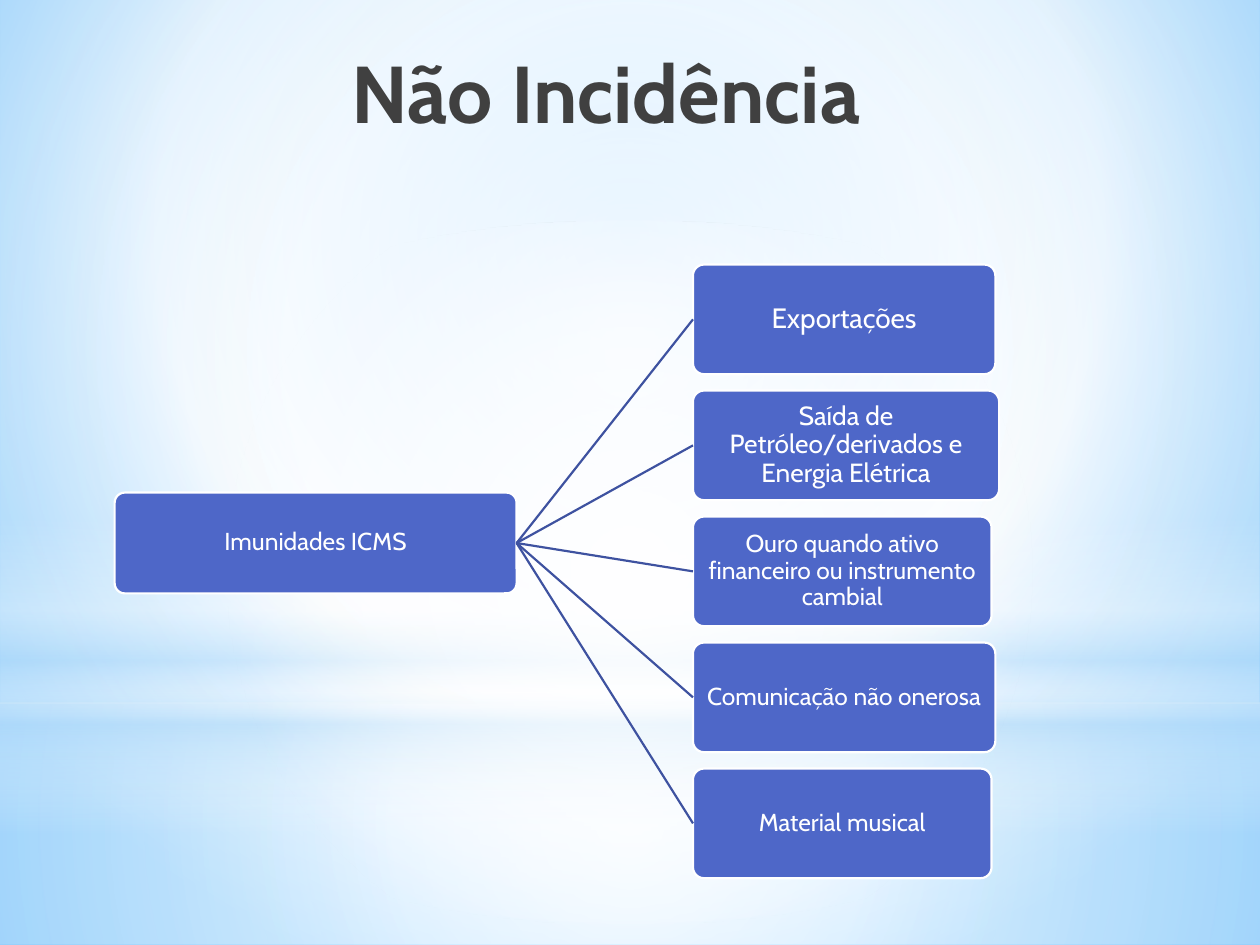
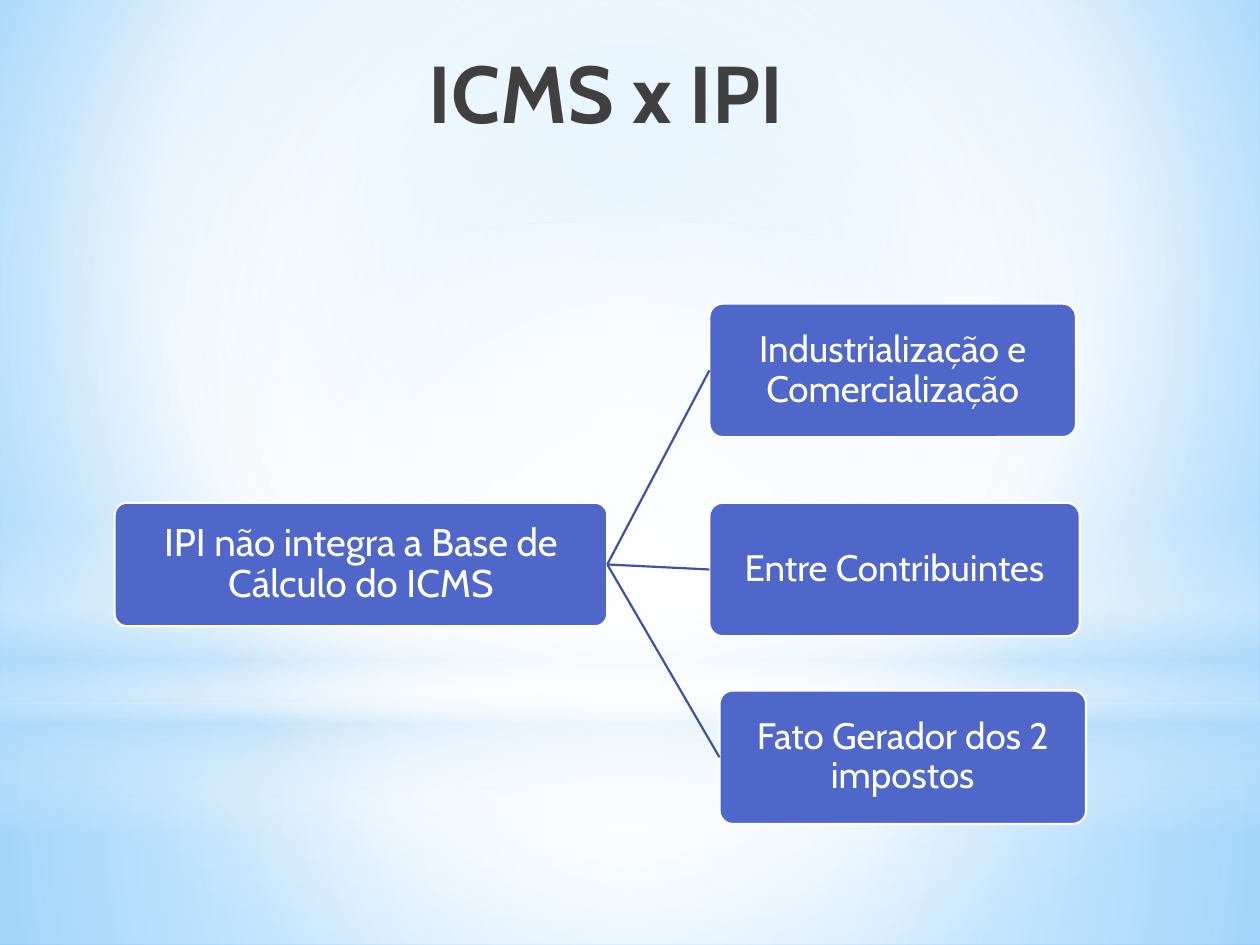
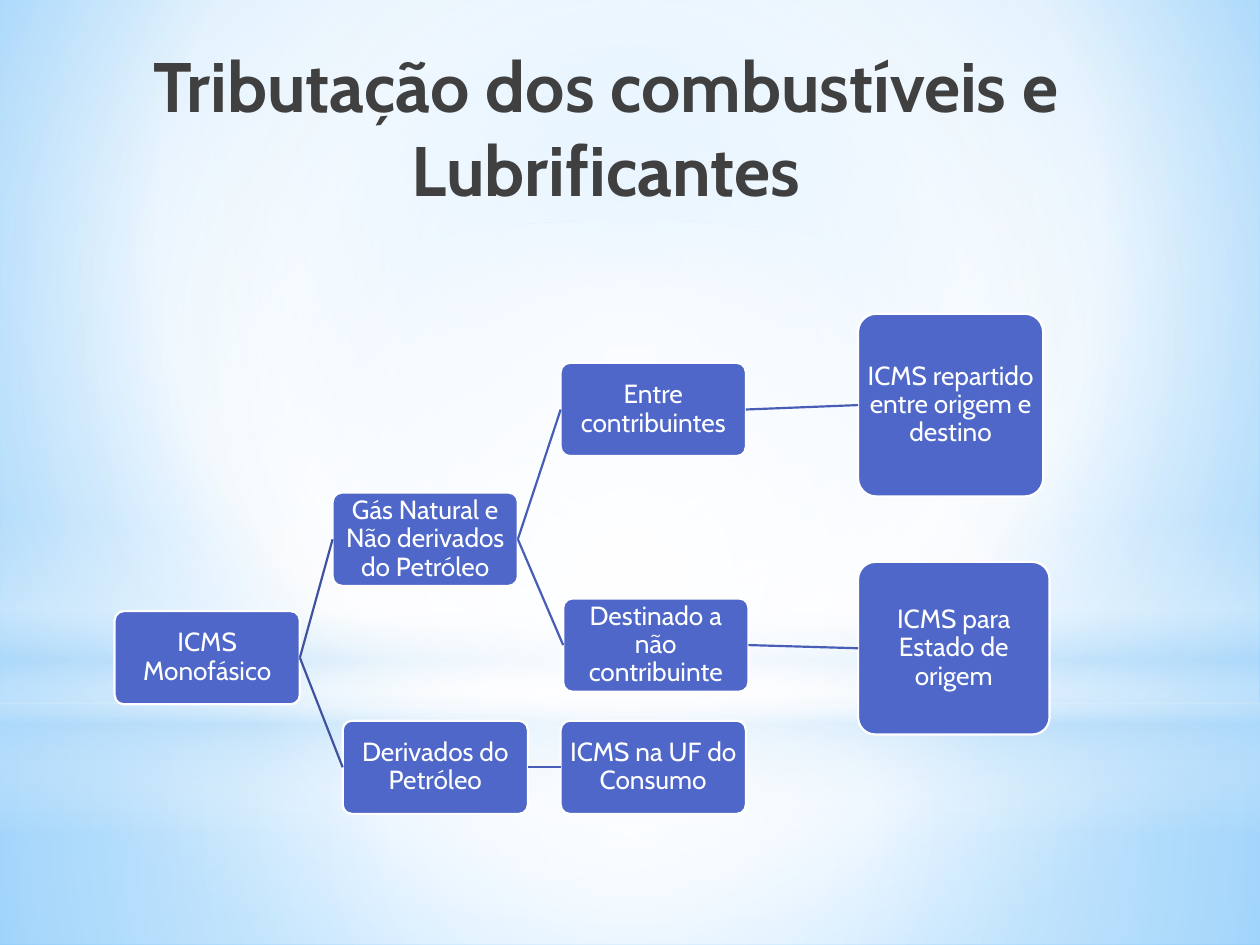
import pptx
import pptx.dml.color
import pptx.enum.shapes
import pptx.enum.text
import pptx.oxml
import pptx.oxml.ns
import pptx.util
from lxml import etree

# Shared look
WIDTH, HEIGHT = 10, 7.5
FONT = "Cabin"
BOX_FILL, BOX_TEXT, BOX_LINE = "4E67C8", "FFFFFF", "FFFFFF"
FIRST_LINK, DEEPER_LINK = "3E52A0", "475DB6"
LINE_WIDTH = 1.25
CENTRE = (50, 50, 50, 50)

# Gradient stops: position, colour, opacity (all but colour in percent)
TITLE_STOPS = [(0, "000000", 100), (40, "404040", 100), (100, "212745", 65)]
PAGE_STOPS = [(0, "9ED5FF", 100), (60, "FFFFFF", 100), (100, "5BB9FF", 100)]
PAGE_FOCUS = (20, 10, 20, 60)

# Backdrop bands: preset, top, height, gradient focus (None runs downwards), stops
BACKDROP = [
    ("RECTANGLE", 5.58, 1.92, CENTRE,
     [(0, "FFFFFF", 91), (37, "FFFFFF", 76), (100, "B4DCFA", 79)]),
    ("RECTANGLE", 0, 5.58, CENTRE,
     [(0, "FFFFFF", 89), (48, "FFFFFF", 62), (100, "B4DCFA", 79)]),
    ("RECTANGLE", 4.12, 2.5, None,
     [(0, "FFFFFF", 0), (29, "FFFFFF", 30), (45, "B4DCFA", 40),
      (55, "FFFFFF", 26), (65, "B4DCFA", 60), (100, "FFFFFF", 0)]),
    ("OVAL", 1.75, 5.58, CENTRE, [(0, "FFFFFF", 100), (56, "FFFFFF", 0)]),
]

# Slide 1: evenly stacked immunities (text, width, text size)
IMMUNITIES = [
    ("Exportações", 2.4, 16),
    ("Saída de Petróleo/derivados e Energia Elétrica", 2.43, 15),
    ("Ouro quando ativo financeiro ou instrumento cambial", 2.37, 14),
    ("Comunicação não onerosa", 2.4, 14),
    ("Material musical", 2.37, 14),
]
IMMUNITY_LEFT, IMMUNITY_TOP, IMMUNITY_STEP, IMMUNITY_HEIGHT = 5.5, 2.1, 1, 0.87

# Slide 3: usual box size
FUEL_BOX = (1.47, 0.74)

# Trees: text, position, size, text size, index of parent box
SLIDES = [
    {"title": "Não Incidência", "title_size": 46, "title_height": 1.25,
     "boxes": [("Imunidades ICMS", (0.91, 3.91), (3.19, 0.8), 14, None)] + [
         (text, (IMMUNITY_LEFT, IMMUNITY_TOP + row * IMMUNITY_STEP),
          (width, IMMUNITY_HEIGHT), size, 0)
         for row, (text, width, size) in enumerate(IMMUNITIES)]},
    {"title": "ICMS x IPI", "title_size": 46, "title_height": 1.25,
     "boxes": [
         ("IPI não integra a Base de Cálculo do ICMS", (0.91, 3.99), (3.91, 0.98), 22, None),
         ("Industrialização e Comercialização", (5.63, 2.41), (2.91, 1.06), 21, 0),
         ("Entre Contribuintes", (5.63, 3.99), (2.94, 1.06), 21, 0),
         ("Fato Gerador dos 2 impostos", (5.71, 5.48), (2.91, 1.06), 21, 0)]},
    {"title": "Tributação dos combustíveis e Lubrificantes",
     "title_size": 40, "title_height": 1.65,
     "boxes": [
         ("ICMS Monofásico", (0.91, 4.85), FUEL_BOX, 15, None),
         ("Gás Natural e Não derivados do Petróleo", (2.64, 3.91), FUEL_BOX, 15, 0),
         ("Entre contribuintes", (4.45, 2.88), FUEL_BOX, 15, 1),
         ("ICMS repartido entre origem e destino", (6.81, 2.49), (1.47, 1.45), 15, 2),
         ("Destinado a não contribuinte", (4.47, 4.75), FUEL_BOX, 15, 1),
         ("ICMS para Estado de origem", (6.81, 4.46), (1.52, 1.37), 15, 4),
         ("Derivados do Petróleo", (2.72, 5.72), FUEL_BOX, 15, 0),
         ("ICMS na UF do Consumo", (4.45, 5.72), FUEL_BOX, 15, 6)]},
]


def color(hex_value):
    return pptx.dml.color.RGBColor.from_string(hex_value)


def inches(*lengths):
    return [pptx.util.Inches(length) for length in lengths]


def paint_gradient(fill, element, stops, focus=None):
    """Give the fill held in element a gradient, round a focus or downwards."""
    fill.solid()
    stop_xml = "".join(
        f'<a:gs pos="{position * 1000}"><a:srgbClr val="{hex_value}">'
        f'<a:alpha val="{opacity * 1000}"/></a:srgbClr></a:gs>'
        for position, hex_value, opacity in stops)
    if focus:
        sides = " ".join(f'{side}="{share * 1000}"' for side, share in zip("ltrb", focus))
        direction = f'<a:path path="circle"><a:fillToRect {sides}/></a:path>'
    else:
        direction = '<a:lin ang="5400000" scaled="0"/>'
    gradient = pptx.oxml.parse_xml(
        f'<a:gradFill {pptx.oxml.ns.nsdecls("a")} rotWithShape="1">'
        f"<a:gsLst>{stop_xml}</a:gsLst>{direction}</a:gradFill>")
    solid = element.xpath(".//a:solidFill")[0]
    solid.getparent().replace(solid, gradient)


def add_backdrop(master, slide):
    """Draw the bands on a slide and move them to the master, which all slides share."""
    paint_gradient(master.background.fill, master.element, PAGE_STOPS, PAGE_FOCUS)
    for index, (preset, top, height, focus, stops) in enumerate(BACKDROP):
        shape = slide.shapes.add_shape(
            pptx.enum.shapes.MSO_SHAPE[preset], *inches(0, top, WIDTH, height))
        shape.shadow.inherit = False
        shape.line.fill.background()
        paint_gradient(shape.fill, shape.element, stops, focus)
        shape.element.xpath("./p:nvSpPr/p:cNvPr")[0].set("id", str(20 + index))
        master.shapes.element.insert(2 + index, shape.element)


def add_title(slide, text, size, height):
    frame = slide.shapes.add_textbox(*inches(0.91, 0.29, 7.8, height)).text_frame
    frame.word_wrap = True
    paragraph = frame.paragraphs[0]
    paragraph.alignment = pptx.enum.text.PP_ALIGN.CENTER
    paragraph.font.name = FONT
    paragraph.font.size = pptx.util.Pt(size)
    paragraph.font.bold = True
    run = paragraph.add_run()
    run.text = text
    paint_gradient(run.font.fill, paragraph.runs[0].font.fill and frame.paragraphs[0].runs[0]._r,
                   TITLE_STOPS)


def add_box(slide, text, position, extent, size):
    shape = slide.shapes.add_shape(
        pptx.enum.shapes.MSO_SHAPE.ROUNDED_RECTANGLE, *inches(*position, *extent))
    shape.adjustments[0] = 0.1
    shape.shadow.inherit = False
    shape.fill.solid()
    shape.fill.fore_color.rgb = color(BOX_FILL)
    shape.line.color.rgb = color(BOX_LINE)
    shape.line.width = pptx.util.Pt(LINE_WIDTH)
    frame = shape.text_frame
    frame.word_wrap = True
    frame.vertical_anchor = pptx.enum.text.MSO_ANCHOR.MIDDLE
    frame.margin_left = frame.margin_right = pptx.util.Inches(0.01)
    frame.margin_top = frame.margin_bottom = pptx.util.Inches(0.01)
    paragraph = frame.paragraphs[0]
    paragraph.text = text
    paragraph.alignment = pptx.enum.text.PP_ALIGN.CENTER
    paragraph.line_spacing = 0.9
    paragraph.font.name = FONT
    paragraph.font.size = pptx.util.Pt(size)
    paragraph.font.color.rgb = color(BOX_TEXT)
    return shape


def add_link(slide, parent, child, hex_value):
    """Join the right side of the parent to the left side of the child."""
    connector = slide.shapes.add_connector(
        pptx.enum.shapes.MSO_CONNECTOR.STRAIGHT, 0, 0, 0, 0)
    connector.begin_connect(parent, 3)
    connector.end_connect(child, 1)
    connector.line.color.rgb = color(hex_value)
    connector.line.width = pptx.util.Pt(LINE_WIDTH)
    etree.SubElement(connector.element.spPr, pptx.oxml.ns.qn("a:effectLst"))


def main():
    presentation = pptx.Presentation()
    presentation.slide_width, presentation.slide_height = inches(WIDTH, HEIGHT)
    blank = presentation.slide_layouts[6]
    for number, content in enumerate(SLIDES):
        slide = presentation.slides.add_slide(blank)
        if number == 0:
            add_backdrop(presentation.slide_master, slide)
        add_title(slide, content["title"], content["title_size"], content["title_height"])
        boxes = []
        for text, position, extent, size, parent in content["boxes"]:
            boxes.append(add_box(slide, text, position, extent, size))
            if parent is not None:
                link_color = DEEPER_LINK if parent else FIRST_LINK
                add_link(slide, boxes[parent], boxes[-1], link_color)
    presentation.save("out.pptx")


if __name__ == "__main__":
    main()
